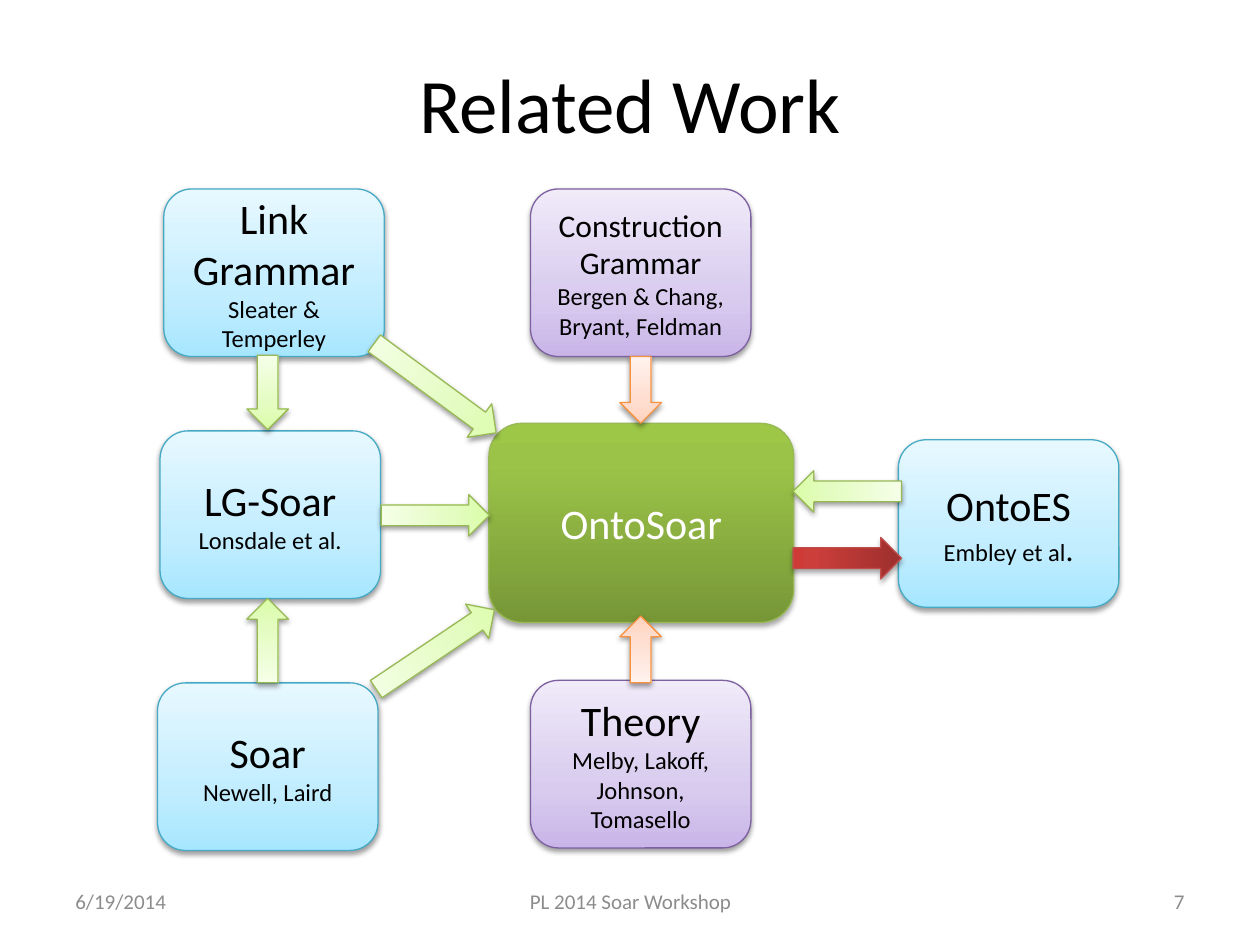
from dataclasses import dataclass

from pptx import Presentation
from pptx.dml.color import RGBColor
from pptx.enum.shapes import MSO_SHAPE
from pptx.enum.text import MSO_ANCHOR, PP_ALIGN
from pptx.oxml import parse_xml
from pptx.oxml.ns import nsdecls
from pptx.shapes.autoshape import Shape
from pptx.slide import Slide
from pptx.text.text import _Run as Run
from pptx.util import Inches, Pt

FONT = "Calibri"
COLORS = {"black": "000000", "white": "FFFFFF", "footer": "8C8C8C"}
BOX_WIDTH, BOX_HEIGHT = 1.75, 1.33
ARROW_WIDTH = 0.33


@dataclass(frozen=True)
class Style:
    stops: tuple[str, str, str]
    line: str
    middle: int = 35
    shadow_alpha: int = 38
    shadow_distance: float = 1.6


STYLES = {
    "blue": Style(("A7E6FF", "C1EDFF", "E7F8FF"), "46AAC5"),
    "purple": Style(("C9B5E8", "D8CBEE", "F0EAF9"), "7D60A0"),
    "lime": Style(("DAFDA7", "E4FCC2", "F5FFE7"), "98B955"),
    "orange": Style(("FFD2BD", "FFDED0", "FFF2ED"), "F69240"),
    "green": Style(("779737", "9BC348", "9DC746"), "98B955", 80, 35, 1.8),
    "red": Style(("9C2F2D", "CB3E3A", "CE3B37"), "BF4C48", 80, 35, 1.8),
}


@dataclass(frozen=True)
class Box:
    left: float
    top: float
    style: str
    name: str
    authors: str = ""
    name_size: int = 24
    width: float = BOX_WIDTH
    height: float = BOX_HEIGHT
    color: str = "black"
    ending: str = ""


@dataclass(frozen=True)
class Arrow:
    left: float
    top: float
    length: float
    style: str
    rotation: float = 0
    flip: str = ""


@dataclass(frozen=True)
class Footer:
    left: float
    width: float
    text: str
    align: PP_ALIGN


BOXES = [
    Box(7.13, 3.49, "blue", "OntoES", "Embley et al", ending="."),
    Box(1.3, 1.5, "blue", "Link Grammar", "Sleater & Temperley"),
    Box(1.25, 5.42, "blue", "Soar", "Newell, Laird"),
    Box(1.27, 3.42, "blue", "LG-Soar", "Lonsdale et al."),
    Box(4.21, 1.5, "purple", "Construction Grammar",
        "Bergen & Chang, Bryant, Feldman", name_size=18),
    Box(4.21, 5.4, "purple", "Theory", "Melby, Lakoff, Johnson, Tomasello"),
    Box(3.88, 3.36, "green", "OntoSoar", width=2.42, height=1.58, color="white"),
]

ARROWS = [
    Arrow(1.96, 2.82, 0.59, "lime"),
    Arrow(1.96, 4.75, 0.67, "lime", flip="flipV"),
    Arrow(3.29, 2.48, 1.2, "lime", 306.3),
    Arrow(3.29, 4.59, 1.13, "lime", 56.1, "flipV"),
    Arrow(3.29, 3.66, 0.86, "lime", 270),
    Arrow(4.92, 2.83, 0.53, "orange"),
    Arrow(4.92, 4.89, 0.53, "orange", flip="flipV"),
    Arrow(6.56, 3.47, 0.86, "lime", 90, "flipH"),
    Arrow(6.56, 4, 0.86, "red", 270),
]

FOOTERS = [
    Footer(0.5, 2.33, "6/19/2014", PP_ALIGN.LEFT),
    Footer(3.42, 3.17, "PL 2014 Soar Workshop", PP_ALIGN.CENTER),
    Footer(7.17, 2.33, "7", PP_ALIGN.RIGHT),
]


def format_run(run: Run, size: float, color: str) -> None:
    run.font.name = FONT
    run.font.size = Pt(size)
    run.font.color.rgb = RGBColor.from_string(COLORS[color])


def apply_style(shape: Shape, style: Style) -> None:
    shape.fill.gradient()
    shape.fill.gradient_angle = 90
    properties = shape._element.spPr
    stop_list = properties.find(".//{*}gsLst")
    for stop in list(stop_list):
        stop_list.remove(stop)
    for position, color in zip((0, style.middle, 100), style.stops):
        stop_list.append(parse_xml(
            f'<a:gs {nsdecls("a")} pos="{position * 1000}">'
            f'<a:srgbClr val="{color}"/></a:gs>'))
    shape.line.color.rgb = RGBColor.from_string(style.line)
    shape.line.width = Pt(0.75)
    shape.shadow.inherit = False
    properties.find("{*}effectLst").append(parse_xml(
        f'<a:outerShdw {nsdecls("a")} blurRad="{Pt(3.1)}" '
        f'dist="{Pt(style.shadow_distance)}" dir="5400000" rotWithShape="0">'
        f'<a:srgbClr val="{COLORS["black"]}">'
        f'<a:alpha val="{style.shadow_alpha * 1000}"/></a:srgbClr></a:outerShdw>'))


def draw_box(slide: Slide, box: Box) -> None:
    shape = slide.shapes.add_shape(
        MSO_SHAPE.ROUNDED_RECTANGLE, Inches(box.left), Inches(box.top),
        Inches(box.width), Inches(box.height))
    apply_style(shape, STYLES[box.style])
    frame = shape.text_frame
    frame.text = "\n".join(filter(None, (box.name, box.authors)))
    for paragraph, size in zip(frame.paragraphs, (box.name_size, 14)):
        paragraph.alignment = PP_ALIGN.CENTER
        format_run(paragraph.runs[0], size, box.color)
    if box.ending:
        ending = frame.paragraphs[-1].add_run()
        ending.text = box.ending
        format_run(ending, 18, box.color)


def draw_arrow(slide: Slide, arrow: Arrow) -> None:
    shape = slide.shapes.add_shape(
        MSO_SHAPE.DOWN_ARROW, Inches(arrow.left), Inches(arrow.top),
        Inches(ARROW_WIDTH), Inches(arrow.length))
    apply_style(shape, STYLES[arrow.style])
    shape.rotation = arrow.rotation
    if arrow.flip:
        shape._element.spPr.xfrm.set(arrow.flip, "1")


def draw_footer(slide: Slide, footer: Footer) -> None:
    frame = slide.shapes.add_textbox(
        Inches(footer.left), Inches(6.95), Inches(footer.width), Inches(0.4)).text_frame
    frame.word_wrap = True
    frame.vertical_anchor = MSO_ANCHOR.MIDDLE
    frame.text = footer.text
    frame.paragraphs[0].alignment = footer.align
    format_run(frame.paragraphs[0].runs[0], 12, "footer")


def draw_title(slide: Slide, text: str) -> None:
    title = slide.shapes.title
    title.left, title.top = Inches(0.5), Inches(0.3)
    title.width, title.height = Inches(9), Inches(1.03)
    title.text_frame.text = text
    title.text_frame.vertical_anchor = MSO_ANCHOR.MIDDLE
    heading = title.text_frame.paragraphs[0]
    heading.alignment = PP_ALIGN.CENTER
    format_run(heading.runs[0], 44, "black")


def main() -> None:
    presentation = Presentation()
    presentation.slide_width, presentation.slide_height = Inches(10), Inches(7.5)
    slide = presentation.slides.add_slide(presentation.slide_layouts[5])
    draw_title(slide, "Related Work")
    for footer in FOOTERS:
        draw_footer(slide, footer)
    for box in BOXES:
        draw_box(slide, box)
    for arrow in ARROWS:
        draw_arrow(slide, arrow)
    presentation.save("out.pptx")


if __name__ == "__main__":
    main()
